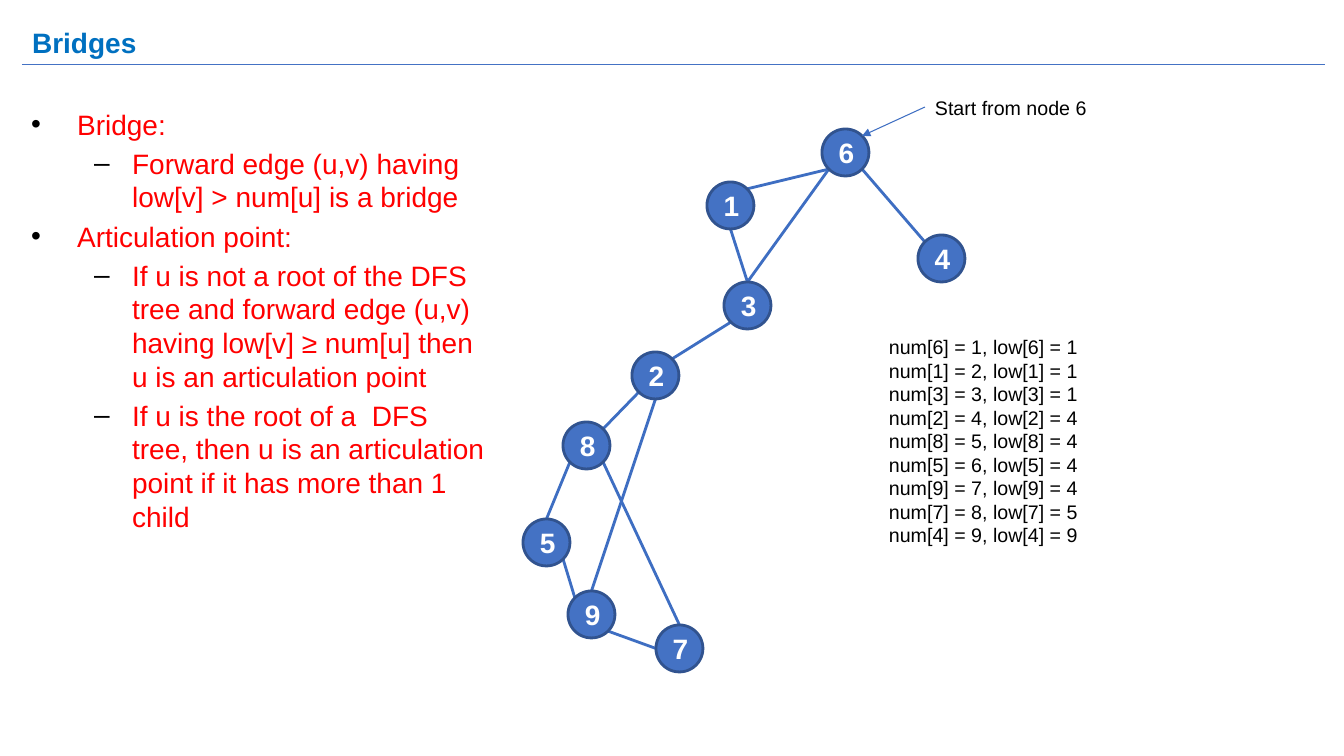
from lxml import etree
from pptx import Presentation
from pptx.dml.color import RGBColor
from pptx.enum.shapes import MSO_CONNECTOR, MSO_SHAPE
from pptx.enum.text import MSO_ANCHOR, MSO_AUTO_SIZE, PP_ALIGN
from pptx.oxml.ns import qn
from pptx.util import Emu, Pt

STRAIGHT, OVAL = MSO_CONNECTOR.STRAIGHT, MSO_SHAPE.OVAL
MIDDLE, TOP = MSO_ANCHOR.MIDDLE, MSO_ANCHOR.TOP
LEFT, CENTER = PP_ALIGN.LEFT, PP_ALIGN.CENTER
NO_FIT = MSO_AUTO_SIZE.NONE

SCALE = 914400 / 100.8
COLORS = {
    "title": "0070C0", "list": "FF0000", "text": "000000", "label": "FFFFFF",
    "node": "4472C4", "outline": "31538F", "edge": "3E6EC2", "rule": "4472C4",
}
NODE_SIZE = 47
DIAGONAL = 0.5 ** 0.5
SITES = {
    "top": (0, -1), "bottom": (0, 1), "left": (-1, 0),
    "top left": (-DIAGONAL, -DIAGONAL), "top right": (DIAGONAL, -DIAGONAL),
    "bottom left": (-DIAGONAL, DIAGONAL), "bottom right": (DIAGONAL, DIAGONAL),
}
# Bullet sign, left margin and hanging indent of each list level
LEVELS = [("•", 46, -46), ("–", 101, -38)]

NODES = {
    1: (707, 182), 6: (822, 129), 3: (724, 282), 2: (632, 352), 8: (563, 422),
    5: (523, 519), 9: (568, 591), 7: (656, 625), 4: (918, 235),
}
EDGES = [
    (1, "top right", 6, "bottom left"), (1, "bottom", 3, "top"),
    (6, "bottom left", 3, "top"), (2, "top right", 3, "bottom left"),
    (2, "bottom left", 8, "top right"), (8, "bottom left", 5, "top"),
    (5, "bottom right", 9, "top left"), (9, "top", 2, "bottom"),
    (9, "bottom right", 7, "left"), (8, "bottom right", 7, "top"),
    (4, "top left", 6, "bottom right"),
]
# Node, num and low, in the order of the visit
VISITS = [(6, 1, 1), (1, 2, 1), (3, 3, 1), (2, 4, 4), (8, 5, 4),
          (5, 6, 4), (9, 7, 4), (7, 8, 5), (4, 9, 9)]
RULES = [
    (0, "Bridge:"),
    (1, "Forward edge (u,v) having low[v] > num[u] is a bridge"),
    (0, "Articulation point:"),
    (1, "If u is not a root of the DFS tree and forward edge (u,v) having "
        "low[v] ≥ num[u] then u is an articulation point"),
    (1, "If u is the root of a  DFS tree, then u is an articulation point "
        "if it has more than 1 child"),
]


def px(length):
    """Turn pixels into EMU."""
    return Emu(round(length * SCALE))


def color(name):
    """Look up a colour by its role."""
    return RGBColor.from_string(COLORS[name])


def site(node, name):
    """Return the named point on the rim of a node."""
    radius = NODE_SIZE / 2
    return tuple(corner + radius + radius * step
                 for corner, step in zip(NODES[node], SITES[name]))


class Painter:
    """Draws styled elements on the current slide."""

    font = "Arial"

    def __init__(self, slide):
        self.slide = slide

    def style(self, para, size, tint, bold=False, align=LEFT):
        """Set the font and alignment of a paragraph."""
        para.alignment = align
        para.font.name, para.font.size, para.font.bold = self.font, Pt(size), bold
        para.font.color.rgb = color(tint)

    def place(self, shape, left, top, width, height):
        """Move and size a placeholder."""
        shape.left, shape.top = px(left), px(top)
        shape.width, shape.height = px(width), px(height)

    def title(self, text, *area):
        """Fill the title placeholder."""
        box = self.slide.shapes.title
        self.place(box, *area)
        frame = box.text_frame
        frame.text = text
        frame.auto_size, frame.vertical_anchor = NO_FIT, MIDDLE
        self.style(frame.paragraphs[0], 20, "title", bold=True)
        frame.paragraphs[0].line_spacing = 0.9

    def bullets(self, items, *area):
        """Fill the body placeholder with a two-level list."""
        box = self.slide.placeholders[1]
        self.place(box, *area)
        frame = box.text_frame
        frame.text = "\n".join(text for _, text in items)
        frame.auto_size, frame.vertical_anchor = NO_FIT, TOP
        for index, (para, (level, _)) in enumerate(zip(frame.paragraphs, items)):
            para.level = level
            self.style(para, 20, "list")
            para.space_before = Pt(4 if index else 0)
            sign, margin, indent = LEVELS[level]
            props = para._p.get_or_add_pPr()
            props.set("marL", str(px(margin)))
            props.set("indent", str(px(indent)))
            tint = etree.SubElement(props, qn("a:buClr"))
            etree.SubElement(tint, qn("a:srgbClr"), val=COLORS["text"])
            etree.SubElement(props, qn("a:buFont"), typeface=self.font)
            etree.SubElement(props, qn("a:buChar"), char=sign)
            # The default run properties have to follow the bullet
            props.append(props.find(qn("a:defRPr")))

    def text(self, lines, *area):
        """Add a text box with one paragraph per line."""
        box = self.slide.shapes.add_textbox(*map(px, area))
        frame = box.text_frame
        frame.word_wrap = True
        frame.text = "\n".join(lines)
        for para in frame.paragraphs:
            self.style(para, 14, "text")

    def node(self, number, left, top):
        """Add a numbered graph node."""
        shape = self.slide.shapes.add_shape(
            OVAL, px(left), px(top), px(NODE_SIZE), px(NODE_SIZE))
        shape.shadow.inherit = False
        shape.fill.solid()
        shape.fill.fore_color.rgb = color("node")
        shape.line.color.rgb = color("outline")
        shape.line.width = Pt(2)
        frame = shape.text_frame
        frame.text = str(number)
        frame.vertical_anchor = MIDDLE
        self.style(frame.paragraphs[0], 20, "label", bold=True, align=CENTER)

    def line(self, start, end, tint="edge", width=2, arrow=False):
        """Add a straight connector, with an arrowhead at its end if asked."""
        line = self.slide.shapes.add_connector(STRAIGHT, *map(px, (*start, *end)))
        line.line.color.rgb = color(tint)
        line.line.width = Pt(width)
        if arrow:
            etree.SubElement(line.line._get_or_add_ln(), qn("a:tailEnd"), type="triangle")
        etree.SubElement(line._element.spPr, qn("a:effectLst"))


deck = Presentation()
deck.slide_width, deck.slide_height = px(1344), px(756)
page = Painter(deck.slides.add_slide(deck.slide_layouts[1]))

page.title("Bridges", 22, 15, 1302, 59)
page.line((22, 65), (1325, 65), tint="rule", width=0.75)
page.bullets(RULES, 21, 102, 477, 551)

for first, first_site, second, second_site in EDGES:
    page.line(site(first, first_site), site(second, second_site))
for number, corner in NODES.items():
    page.node(number, *corner)

page.text([f"num[{node}] = {num}, low[{node}] = {low}" for node, num, low in VISITS],
          879, 330, 381, 285)
page.text(["Start from node 6"], 925, 91, 203, 34)
page.line((925, 107), site(6, "top right"), width=0.75, arrow=True)

deck.save("out.pptx")
